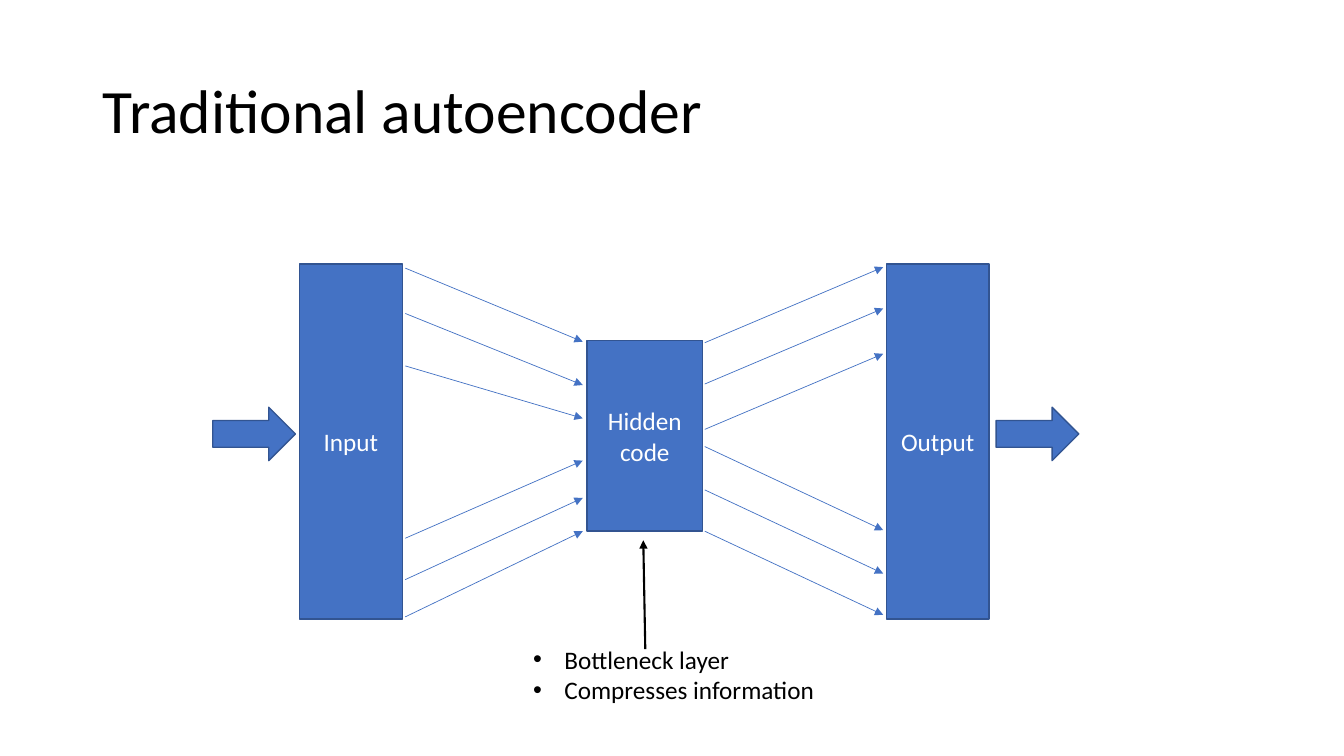
from lxml.etree import SubElement
from pptx import Presentation
from pptx.dml.color import RGBColor
from pptx.enum.shapes import MSO_CONNECTOR, MSO_SHAPE
from pptx.enum.text import MSO_ANCHOR, MSO_AUTO_SIZE, PP_ALIGN
from pptx.oxml.ns import qn
from pptx.util import Emu, Pt

EMU_PER_PX = 9144
COLOURS = {"text": "000000", "layer": "4472C4", "edge": "325491", "label": "FFFFFF"}


def px(*lengths):
    return [Emu(length * EMU_PER_PX) for length in lengths]


def colour(name):
    return RGBColor.from_string(COLOURS[name])


def write(paragraph, text, size=18, ink="text", align=PP_ALIGN.LEFT, spacing=None, bullet=None):
    paragraph.alignment = align
    if spacing:
        paragraph.line_spacing = spacing
    if bullet:
        properties = paragraph._p.get_or_add_pPr()
        indent = px(31)[0]
        properties.set("marL", str(indent))
        properties.set("indent", str(-indent))
        SubElement(properties, qn("a:buFont"), typeface="Arial")
        SubElement(properties, qn("a:buChar"), char=bullet)
    run = paragraph.add_run()
    run.text = text
    run.font.name = "Calibri"
    run.font.size = Pt(size)
    run.font.color.rgb = colour(ink)


class Diagram:
    def __init__(self, presentation):
        self.slide = presentation.slides.add_slide(presentation.slide_layouts[5])
        self.shapes = self.slide.shapes

    def title(self, text, *box):
        heading = self.shapes.title
        heading.left, heading.top, heading.width, heading.height = px(*box)
        frame = heading.text_frame
        frame.auto_size = MSO_AUTO_SIZE.NONE
        frame.vertical_anchor = MSO_ANCHOR.MIDDLE
        write(frame.paragraphs[0], text, size=44, spacing=0.9)

    def block(self, preset, *box, label=None):
        block = self.shapes.add_shape(preset, *px(*box))
        block.shadow.inherit = False
        block.fill.solid()
        block.fill.fore_color.rgb = colour("layer")
        block.line.color.rgb = colour("edge")
        block.line.width = Pt(1)
        if label:
            frame = block.text_frame
            frame.word_wrap = True
            frame.vertical_anchor = MSO_ANCHOR.MIDDLE
            write(frame.paragraphs[0], label, ink="label", align=PP_ALIGN.CENTER)

    def arrow(self, *ends, ink="layer", weight=0.5):
        arrow = self.shapes.add_connector(MSO_CONNECTOR.STRAIGHT, *px(*ends))
        arrow.line.color.rgb = colour(ink)
        arrow.line.width = Pt(weight)
        SubElement(arrow.line._get_or_add_ln(), qn("a:tailEnd"), type="triangle")
        SubElement(arrow._element.spPr, qn("a:effectLst"))

    def bullets(self, items, *box):
        frame = self.shapes.add_textbox(*px(*box)).text_frame
        frame.word_wrap = True
        frame.auto_size = MSO_AUTO_SIZE.SHAPE_TO_FIT_TEXT
        for index, item in enumerate(items):
            paragraph = frame.add_paragraph() if index else frame.paragraphs[0]
            write(paragraph, item, bullet="•")


def main():
    presentation = Presentation()
    presentation.slide_width, presentation.slide_height = px(1333, 750)
    diagram = Diagram(presentation)
    diagram.title("Traditional autoencoder", 92, 40, 1150, 145)

    diagram.block(MSO_SHAPE.RECTANGLE, 297, 262, 102, 352, label="Input")
    diagram.block(MSO_SHAPE.RECTANGLE, 582, 338, 115, 189, label="Hidden code")
    diagram.block(MSO_SHAPE.RECTANGLE, 879, 262, 102, 352, label="Output")

    encoder = [(266, 339), (311, 382), (363, 415), (534, 457), (575, 494), (612, 527)]
    for input_y, code_y in encoder:
        diagram.arrow(402, input_y, 578, code_y)

    decoder = {-75: (340, 381, 426), 83: (443, 486, 527)}
    for drop, code_levels in decoder.items():
        for code_y in code_levels:
            diagram.arrow(699, code_y, 876, code_y + drop)

    diagram.bullets(["Bottleneck layer", "Compresses information"], 519, 634, 333, 71)
    diagram.arrow(640, 644, 638, 536, ink="text", weight=1.5)

    for flow_x in (211, 988):
        diagram.block(MSO_SHAPE.RIGHT_ARROW, flow_x, 404, 82, 53)

    presentation.save("out.pptx")


if __name__ == "__main__":
    main()
